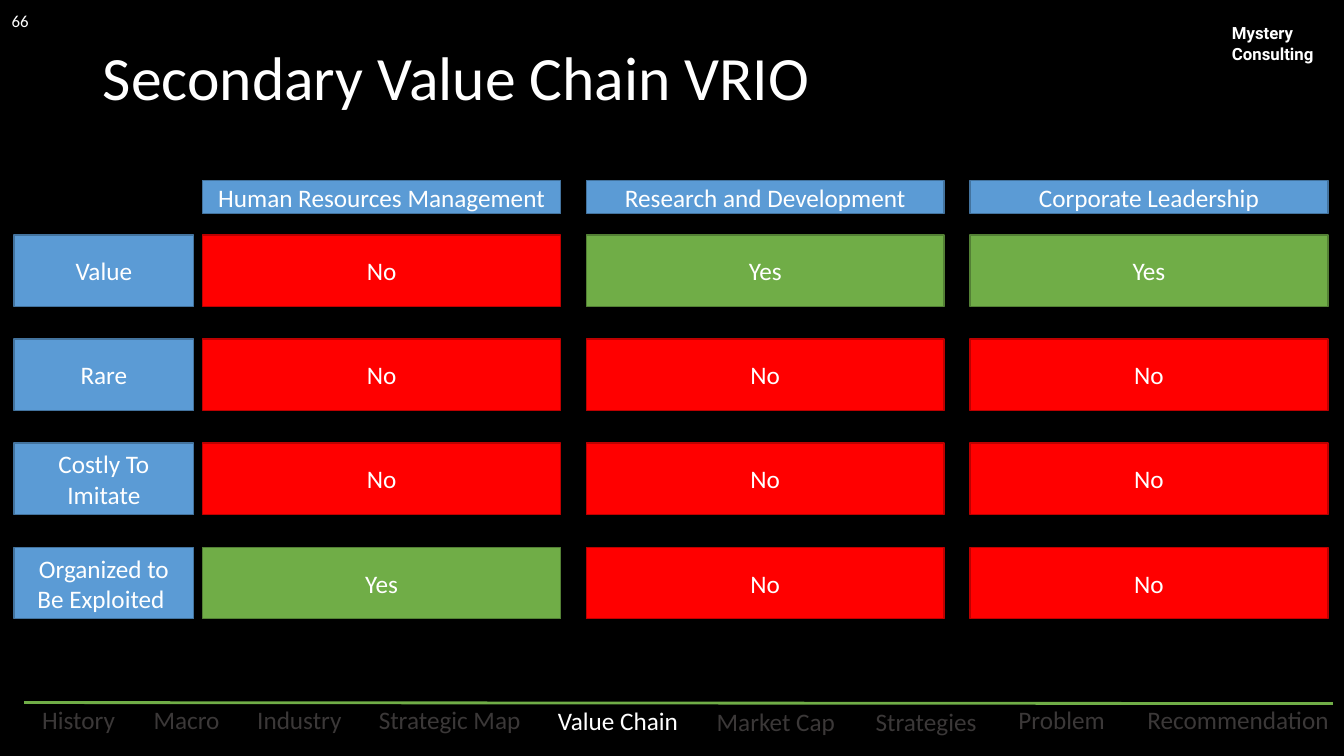
"""Build the Secondary Value Chain VRIO slide."""
import lxml.etree
import pptx
import pptx.dml.color
import pptx.enum.shapes
import pptx.enum.text
import pptx.oxml.ns
import pptx.util

Inches = pptx.util.Inches
SHAPES = pptx.enum.shapes.MSO_SHAPE
ALIGN = pptx.enum.text.PP_ALIGN
WHITE, GREY, GREEN = "FFFFFF", "3B3838", "70AD47"
LABEL = ("5B9BD5", "43739E")
ANSWERS = {"No": ("FF0000", "BD0000"), "Yes": (GREEN, "538035")}


def color(value):
    return pptx.dml.color.RGBColor.from_string(value)


def write(shape, text, align=ALIGN.CENTER, wrap=True, **formats):
    frame = shape.text_frame
    frame.text = text
    frame.word_wrap = wrap
    frame.vertical_anchor = pptx.enum.text.MSO_ANCHOR.MIDDLE
    paragraph = frame.paragraphs[0]
    paragraph.alignment = align
    font_values = {"name": "Calibri", "size": 18, "bold": False, "color": WHITE} | formats
    paragraph.font.color.rgb = color(font_values.pop("color"))
    font_values["size"] = pptx.util.Pt(font_values["size"])
    for name, value in font_values.items():
        setattr(paragraph.font, name, value)


presentation = pptx.Presentation()
presentation.slide_width = Inches(13.33)
presentation.slide_height = Inches(7.5)
slide = presentation.slides.add_slide(presentation.slide_layouts[5])
slide.background.fill.solid()
slide.background.fill.fore_color.rgb = color("000000")

footer_line = slide.shapes.add_connector(
    pptx.enum.shapes.MSO_CONNECTOR.STRAIGHT,
    Inches(0.24), Inches(6.97), Inches(13.22), Inches(6.98))
footer_line.line.color.rgb = color(GREEN)
footer_line.line.width = pptx.util.Pt(2)
lxml.etree.SubElement(footer_line._element.spPr, pptx.oxml.ns.qn("a:effectLst"))

sections = [
    ("History", 0.98, 6.98), ("Macro", 0.92, 6.98), ("Industry", 1.08, 6.98),
    ("Strategic Map", 1.66, 6.98), ("Value Chain", 1.44, 6.99),
    ("Market Cap", 1.45, 7), ("Strategies", 1.29, 7),
    ("Problem", 1.16, 6.98), ("Recommendation", 2.1, 6.98),
]
section_left, section_gap = 0.29, 0.12
for section, width, top in sections:
    tab = slide.shapes.add_shape(
        SHAPES.ROUNDED_RECTANGLE,
        Inches(section_left), Inches(top), Inches(width), Inches(0.32))
    tab.shadow.inherit = False
    tab.fill.background()
    tab.line.fill.background()
    write(tab, section, wrap=False, color=WHITE if section == "Value Chain" else GREY)
    section_left += width + section_gap

title = slide.shapes.title
title.left, title.top, title.width, title.height = map(Inches, (0.92, 0.4, 10.81, 0.79))
write(title, "Secondary Value Chain VRIO", ALIGN.LEFT, size=44)
title.text_frame.paragraphs[0].line_spacing = 0.9

firm = slide.shapes.add_textbox(*map(Inches, (12.12, 0.18, 1.1, 0.5)))
write(firm, "Mystery Consulting", ALIGN.LEFT, name="Roboto", size=12, bold=True)
page_number = slide.shapes.add_textbox(*map(Inches, (-0.01, 0.01, 0.42, 0.4)))
write(page_number, "66", size=12)

resources = ["Human Resources Management", "Research and Development", "Corporate Leadership"]
criteria = [
    ("Value", ["No", "Yes", "Yes"]),
    ("Rare", ["No", "No", "No"]),
    ("Costly To Imitate", ["No", "No", "No"]),
    ("Organized to Be Exploited ", ["Yes", "No", "No"]),
]
first_column, column_step, column_width = 2.01, 3.805, 3.55
first_row, row_step, row_height = 2.33, 1.033, 0.71

boxes = []
for column, resource in enumerate(resources):
    boxes.append((resource, first_column + column * column_step, 1.79, column_width, 0.33, LABEL))
for row, (criterion, answers) in enumerate(criteria):
    top = first_row + row * row_step
    boxes.append((criterion, 0.14, top, 1.78, row_height, LABEL))
    for column, answer in enumerate(answers):
        left = first_column + column * column_step
        boxes.append((answer, left, top, column_width, row_height, ANSWERS[answer]))

for text, left, top, width, height, (fill, outline) in boxes:
    box = slide.shapes.add_shape(
        SHAPES.RECTANGLE, Inches(left), Inches(top), Inches(width), Inches(height))
    box.shadow.inherit = False
    box.fill.solid()
    box.fill.fore_color.rgb = color(fill)
    box.line.color.rgb = color(outline)
    box.line.width = pptx.util.Pt(1)
    write(box, text)

presentation.save("out.pptx")
